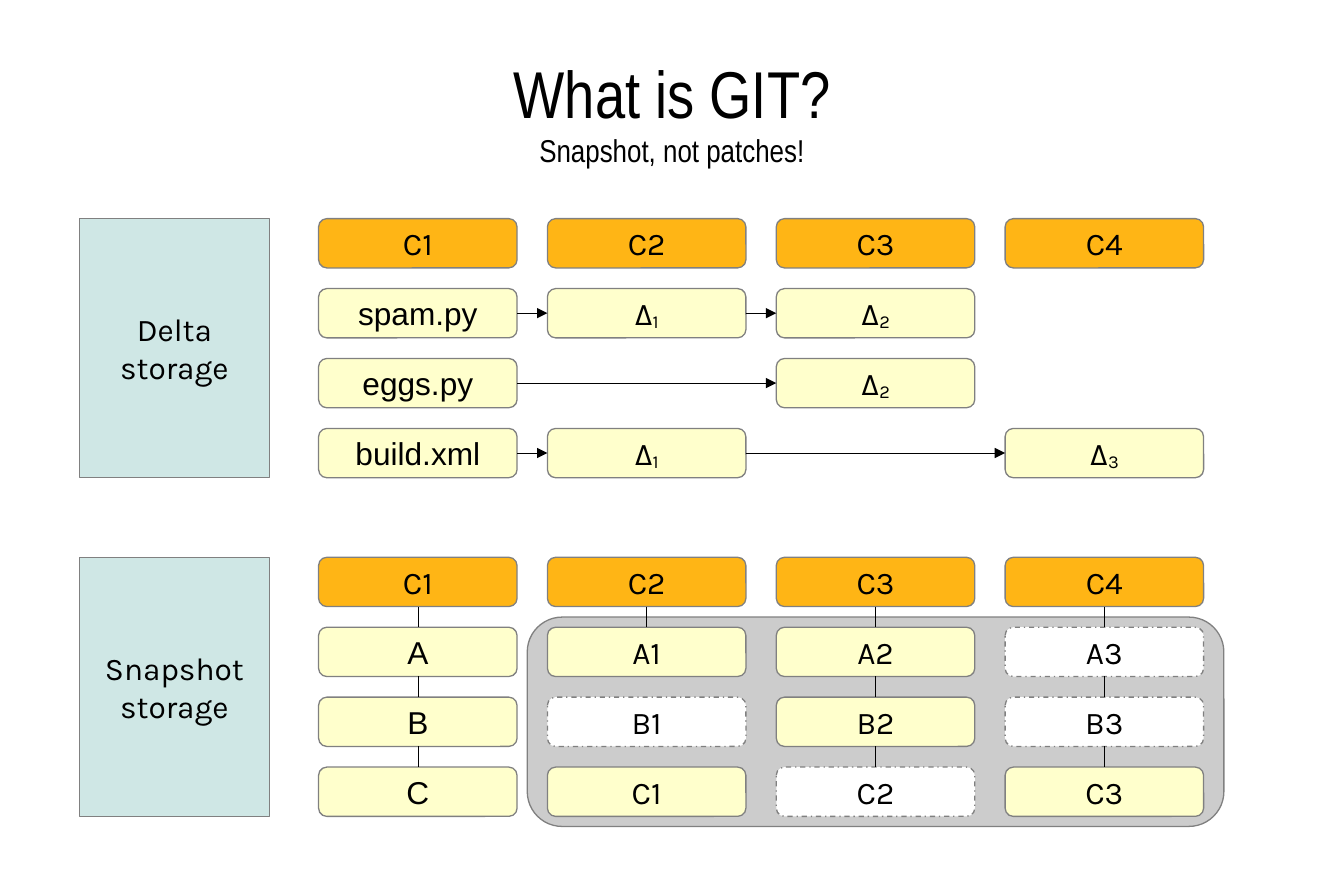
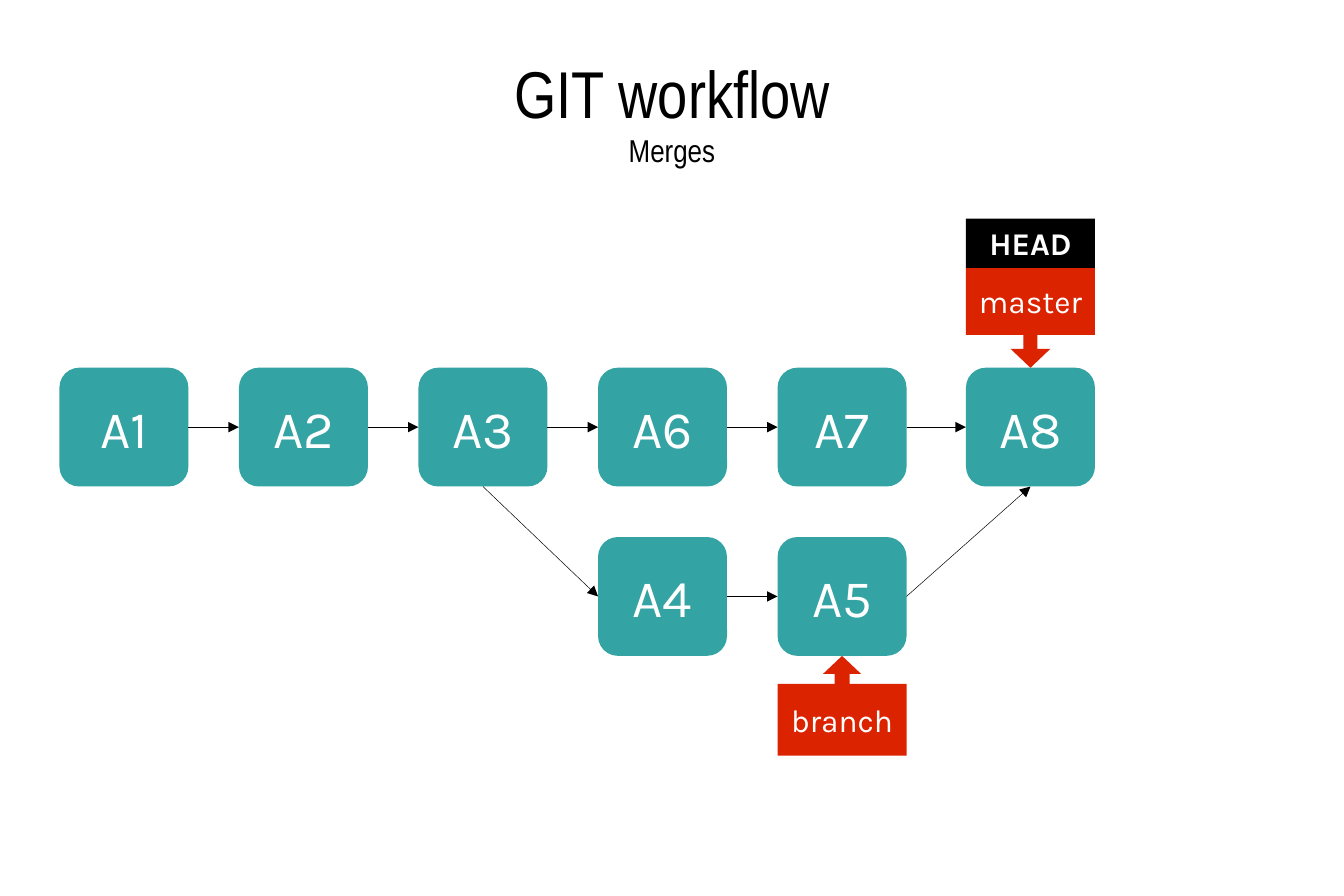
"""Builds two slides on how GIT stores versions and merges branches."""
from lxml.etree import SubElement
from pptx import Presentation
from pptx.dml.color import RGBColor
from pptx.enum.dml import MSO_LINE
from pptx.enum.shapes import MSO_CONNECTOR, MSO_SHAPE
from pptx.enum.text import MSO_ANCHOR, PP_ALIGN
from pptx.oxml.ns import qn
from pptx.util import Inches, Pt

WIDTH, HEIGHT = 10.63, 7.09
COLORS = {
    "ink": "000000", "paper": "FFFFFF", "outline": "808080", "panel": "CFE7E5",
    "header": "FFB515", "file": "FFFFCC", "frame": "CCCCCC", "commit": "33A3A3",
    "label": "DC2300",
}
TOP, LEFT, BOTTOM, RIGHT = range(4)

PANEL_LEFT, PANEL_WIDTH, PANEL_HEIGHT = 0.63, 1.5, 2.05
CELL_LEFT, CELL_STEP, CELL_WIDTH, CELL_HEIGHT = 2.52, 1.81, 1.57, 0.39
ROW_STEP = (PANEL_HEIGHT - CELL_HEIGHT) / 3
DELTA_TOP, SNAPSHOT_TOP = 1.73, 4.41
HEADERS = ["C1", "C2", "C3", "C4"]

COMMIT_WIDTH, COMMIT_HEIGHT = 1.02, 0.94
COMMIT_LEFTS = [0.47 + 1.42 * column for column in range(5)] + [7.64]
MAIN_TOP, BRANCH_TOP = 2.91, 4.25
LABEL_HEIGHT = 0.79


def rgb(name):
    """Return the palette colour called name."""
    return RGBColor.from_string(COLORS[name])


def add_text(paragraph, text, size=18, font="Karla", color="ink", bold=False, baseline=None):
    """Add a centred, formatted run to a paragraph."""
    paragraph.alignment = PP_ALIGN.CENTER
    run = paragraph.add_run()
    run.text = text
    run.font.size, run.font.name, run.font.bold = Pt(size), font, bold
    run.font.color.rgb = rgb(color)
    if baseline is not None:
        run.font._element.set("baseline", str(baseline))


def add_title(slide, title, subtitle):
    """Add the two-line heading shared by the slides."""
    heading = slide.shapes.add_textbox(
        Inches(WIDTH * 0.05), Inches(HEIGHT * 0.04), Inches(WIDTH * 0.9), Inches(HEIGHT / 6))
    frame = heading.text_frame
    frame.word_wrap = True
    frame.vertical_anchor = MSO_ANCHOR.MIDDLE
    frame.margin_left = frame.margin_right = frame.margin_top = frame.margin_bottom = 0
    paragraph = frame.paragraphs[0]
    add_text(paragraph, title, size=37.7, font="Arial Narrow")
    paragraph.add_line_break()
    add_text(paragraph, subtitle, font="Arial Narrow")


def add_box(slide, preset, bounds, fill, lines=(), outline=None, dashed=False, **style):
    """Add a filled preset shape with one paragraph per line."""
    box = slide.shapes.add_shape(preset, *(Inches(length) for length in bounds))
    box.shadow.inherit = False
    box.fill.solid()
    box.fill.fore_color.rgb = rgb(fill)
    if outline:
        box.line.color.rgb = rgb(outline)
        box.line.width = Pt(0)
        if dashed:
            box.line.dash_style = MSO_LINE.DASH_DOT
    else:
        box.line.fill.background()
    frame = box.text_frame
    frame.word_wrap = False
    frame.vertical_anchor = MSO_ANCHOR.MIDDLE
    for index, line in enumerate(lines):
        paragraph = frame.add_paragraph() if index else frame.paragraphs[0]
        add_text(paragraph, line, **style)
    return box


def link(slide, start, start_side, end, end_side, arrow=True):
    """Join the sides of two boxes with a thin line."""
    connector = slide.shapes.add_connector(MSO_CONNECTOR.STRAIGHT, 0, 0, 0, 0)
    connector.begin_connect(start, start_side)
    connector.end_connect(end, end_side)
    connector.line.color.rgb = rgb("ink")
    connector.line.width = Pt(0.28)
    if arrow:
        SubElement(connector.line._get_or_add_ln(), qn("a:tailEnd"), type="triangle")
    SubElement(connector._element.spPr, qn("a:effectLst"))


def add_cell(slide, top, column, row, text, fill="file", **options):
    """Add one rounded cell of a storage grid."""
    bounds = (CELL_LEFT + column * CELL_STEP, top + row * ROW_STEP, CELL_WIDTH, CELL_HEIGHT)
    return add_box(slide, MSO_SHAPE.ROUNDED_RECTANGLE, bounds, fill, [text],
                   outline="outline", **options)


def add_storage(slide, top, kind):
    """Add the name panel and header cells of a storage grid."""
    add_box(slide, MSO_SHAPE.RECTANGLE, (PANEL_LEFT, top, PANEL_WIDTH, PANEL_HEIGHT),
            "panel", [kind, "storage"], outline="outline")
    return [add_cell(slide, top, column, 0, name, "header")
            for column, name in enumerate(HEADERS)]


def add_delta_storage(slide):
    """Add the files, each followed by its chain of patches."""
    add_storage(slide, DELTA_TOP, "Delta")
    patches = {"spam.py": [1, 2], "eggs.py": [2], "build.xml": [1, 3]}
    for row, (file_name, columns) in enumerate(patches.items(), 1):
        previous = add_cell(slide, DELTA_TOP, 0, row, file_name, font="Arial")
        for column in columns:
            patch = add_cell(slide, DELTA_TOP, column, row, "Δ")
            add_text(patch.text_frame.paragraphs[0], str(column), baseline=-8000)
            link(slide, previous, RIGHT, patch, LEFT)
            previous = patch


def add_snapshot_storage(slide):
    """Add the commits, each above its full set of files."""
    margin_x, margin_y = 0.16, 0.08
    add_box(slide, MSO_SHAPE.ROUNDED_RECTANGLE,
            (CELL_LEFT + CELL_STEP - margin_x, SNAPSHOT_TOP + ROW_STEP - margin_y,
             2 * CELL_STEP + CELL_WIDTH + 2 * margin_x,
             2 * ROW_STEP + CELL_HEIGHT + 2 * margin_y), "frame", outline="outline")
    headers = add_storage(slide, SNAPSHOT_TOP, "Snapshot")
    snapshots = [["A", "B", "C"], ["A1", "B1", "C1"], ["A2", "B2", "C2"], ["A3", "B3", "C3"]]
    unchanged = {"B1", "C2", "A3", "B3"}
    linked_rows = [3, 1, 3, 3]
    for column, files in enumerate(snapshots):
        previous = headers[column]
        for row, name in enumerate(files, 1):
            reused = name in unchanged
            cell = add_cell(slide, SNAPSHOT_TOP, column, row, name,
                            "paper" if reused else "file", dashed=reused,
                            font="Karla" if column else "Arial")
            if row <= linked_rows[column]:
                link(slide, previous, BOTTOM, cell, TOP, arrow=False)
            previous = cell


def add_label(slide, preset, column, top, text, adjustments):
    """Add a red arrow label pointing at a commit."""
    label = add_box(slide, preset, (COMMIT_LEFTS[column], top, COMMIT_WIDTH, LABEL_HEIGHT),
                    "label", [text], color="paper")
    for index, value in enumerate(adjustments):
        label.adjustments[index] = value


def add_history(slide):
    """Add the commits of both branches, their links and labels."""
    rows = [(MAIN_TOP, 0, ["A1", "A2", "A3", "A6", "A7", "A8"]), (BRANCH_TOP, 3, ["A4", "A5"])]
    commits = {}
    for top, first, names in rows:
        for column, name in enumerate(names, first):
            commits[name] = add_box(
                slide, MSO_SHAPE.ROUNDED_RECTANGLE,
                (COMMIT_LEFTS[column], top, COMMIT_WIDTH, COMMIT_HEIGHT),
                "commit", [name], size=30, color="paper")
        for before, after in zip(names, names[1:]):
            link(slide, commits[before], RIGHT, commits[after], LEFT)
    link(slide, commits["A3"], BOTTOM, commits["A4"], LEFT)
    link(slide, commits["A5"], RIGHT, commits["A8"], BOTTOM)

    master_top = MAIN_TOP - LABEL_HEIGHT
    add_label(slide, MSO_SHAPE.DOWN_ARROW_CALLOUT, 5, master_top, "master",
              [0.14, 0.2, 0.19, 0.67])
    add_box(slide, MSO_SHAPE.RECTANGLE,
            (COMMIT_LEFTS[5], master_top - CELL_HEIGHT, COMMIT_WIDTH, CELL_HEIGHT),
            "ink", ["HEAD"], color="paper", bold=True)
    add_label(slide, MSO_SHAPE.UP_ARROW_CALLOUT, 4, BRANCH_TOP + COMMIT_HEIGHT, "branch",
              [0.15, 0.19, 0.18, 0.72])


def main():
    """Build and save the presentation."""
    deck = Presentation()
    deck.slide_width, deck.slide_height = Inches(WIDTH), Inches(HEIGHT)
    blank = deck.slide_layouts[6]

    storage = deck.slides.add_slide(blank)
    add_title(storage, "What is GIT?", "Snapshot, not patches!")
    add_delta_storage(storage)
    add_snapshot_storage(storage)

    workflow = deck.slides.add_slide(blank)
    add_title(workflow, "GIT workflow", "Merges")
    add_history(workflow)

    deck.save("out.pptx")


if __name__ == "__main__":
    main()
